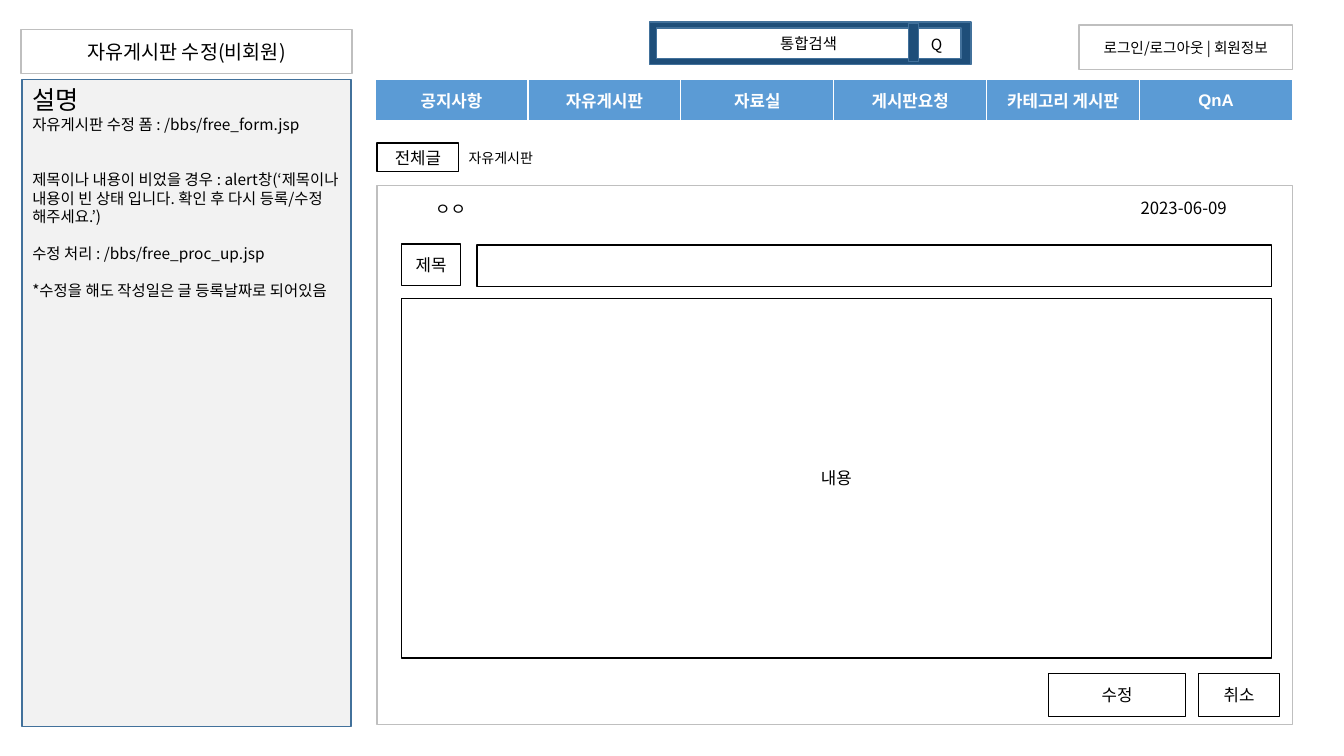
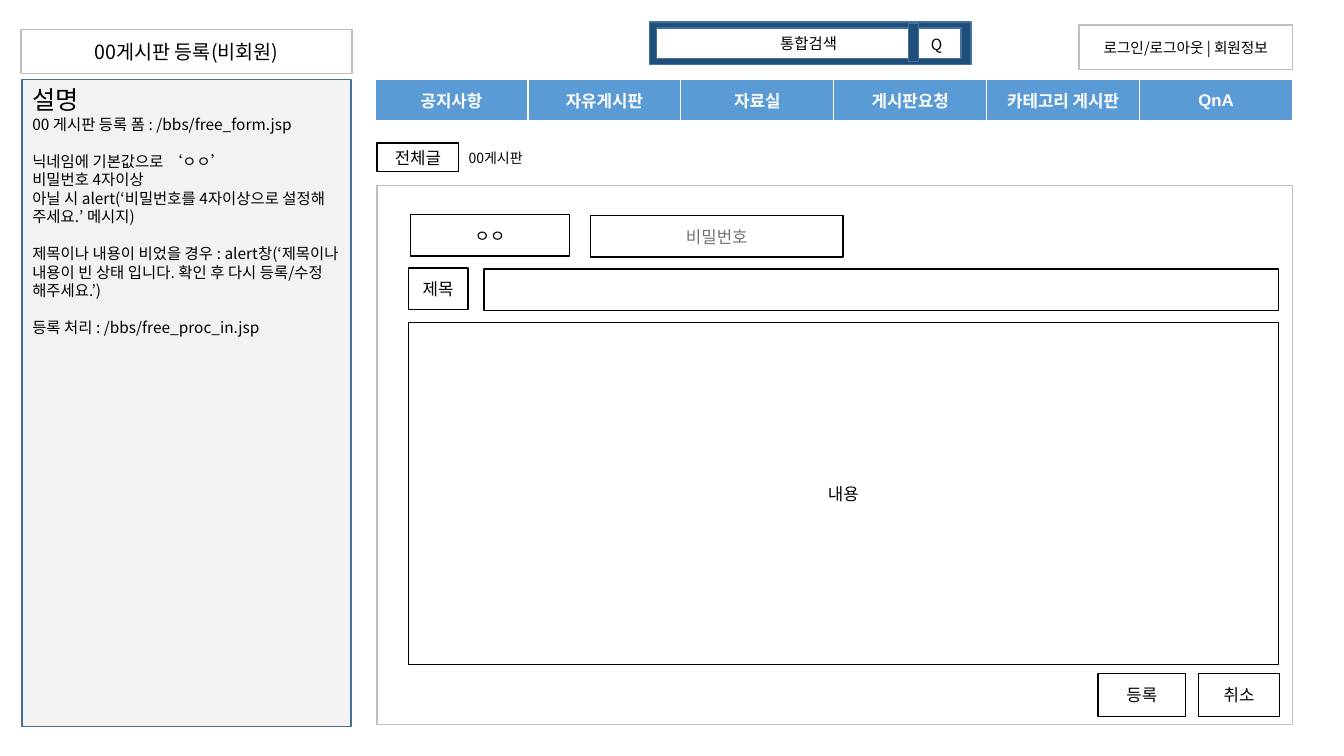
from dataclasses import dataclass

from pptx import Presentation
from pptx.dml.color import RGBColor
from pptx.enum.shapes import MSO_SHAPE
from pptx.enum.text import MSO_ANCHOR, MSO_AUTO_SIZE, PP_ALIGN
from pptx.oxml.ns import qn
from pptx.util import Pt
from lxml import etree

RECTANGLE = MSO_SHAPE.RECTANGLE
TOP, MIDDLE = MSO_ANCHOR.TOP, MSO_ANCHOR.MIDDLE
LEFT, CENTER = PP_ALIGN.LEFT, PP_ALIGN.CENTER
NO_AUTOFIT = MSO_AUTO_SIZE.NONE
EMU_PER_PX = 9144
SLIDE_SIZE = (1333, 750)


@dataclass(frozen=True)
class Theme:
    font: str = "Noto Sans CJK KR"
    menu_font: str = "Arial"
    black: str = "000000"
    white: str = "FFFFFF"
    hint: str = "767171"
    frame: str = "BFBFBF"
    panel: str = "F2F2F2"
    edge: str = "42719B"
    navy: str = "1E4E79"
    menu: str = "5B9BD5"
    title_size: float = 14
    heading_size: float = 18
    body_size: float = 11
    label_size: float = 12
    account_size: float = 10.5
    small_size: float = 10
    line_gap: float = 13.2


THEME = Theme()

MENU = ["공지사항", "자유게시판", "자료실", "게시판요청", "카테고리 게시판", "QnA"]
MENU_BOX = (372, 79, 910, 41)
TITLE_BOX = (21, 29, 328, 44)
NOTES_BOX = (22, 79, 326, 642)
PANEL_BOX = (374, 184, 908, 535)
NOTES_HEADING = "설명"
EMPTY_WARNING = (
    "제목이나 내용이 비었을 경우 : alert창"
    "(‘제목이나 내용이 빈 상태 입니다. 확인 후 다시 등록/수정 해주세요.’)"
)

SCREENS = [
    {
        "title": "자유게시판 수정(비회원)",
        "board": "자유게시판",
        "notes": [
            (0, "자유게시판 수정 폼 : /bbs/free_form.jsp"),
            (2, EMPTY_WARNING),
            (1, "수정 처리 : /bbs/free_proc_up.jsp"),
            (1, "*수정을 해도 작성일은 글 등록날짜로 되어있음"),
        ],
        "fields": [
            ("ㅇㅇ", (382, 188, 130, 38), {"line": None}),
            ("2023-06-09", (1070, 186, 208, 41), {"line": None}),
        ],
        "form_origin": (398, 242),
        "content_height": 357,
        "action": ("수정", 136),
    },
    {
        "title": "00게시판 등록(비회원)",
        "board": "00게시판",
        "notes": [
            (0, "00 게시판 등록 폼 : /bbs/free_form.jsp"),
            (1, "닉네임에 기본값으로 ‘ㅇㅇ’"),
            (0, "비밀번호 4자이상"),
            (0, "아닐 시 alert(‘비밀번호를 4자이상으로 설정해 주세요.’ 메시지)"),
            (1, EMPTY_WARNING),
            (1, "등록 처리 : /bbs/free_proc_in.jsp"),
        ],
        "fields": [
            ("ㅇㅇ", (407, 213, 158, 41), {}),
            ("비밀번호", (586, 214, 250, 41), {"color": THEME.hint}),
        ],
        "form_origin": (405, 266),
        "content_height": 339,
        "action": ("등록", 87),
    },
]


def px(*values):
    return [value * EMU_PER_PX for value in values]


def rgb(color):
    return RGBColor.from_string(color)


def apply(target, values):
    for name, value in values.items():
        setattr(target, name, value)


def write(paragraph, text, size=THEME.label_size, color=THEME.black,
          font=THEME.font, bold=False, align=CENTER):
    run = paragraph.add_run()
    run.text = text
    apply(run.font, {"name": font, "size": Pt(size), "bold": bold})
    run.font.color.rgb = rgb(color)
    east_asian = etree.SubElement(run.font._element, qn("a:ea"))
    east_asian.set("typeface", THEME.font)
    paragraph.alignment = align


def paint(shape, fill, line):
    shape.fill.solid()
    shape.fill.fore_color.rgb = rgb(fill)
    if line is None:
        shape.line.fill.background()
    else:
        shape.line.color.rgb = rgb(line)
        shape.line.width = Pt(1)


def place(shape, box):
    apply(shape, dict(zip(("left", "top", "width", "height"), px(*box))))


def add_box(shapes, box, text="", fill=THEME.white, line=THEME.black,
            anchor=MIDDLE, **text_format):
    shape = shapes.add_shape(RECTANGLE, *px(*box))
    shape.shadow.inherit = False
    paint(shape, fill, line)
    if text:
        apply(shape.text_frame, {"word_wrap": True, "vertical_anchor": anchor})
        write(shape.text_frame.paragraphs[0], text, **text_format)


def add_text(shapes, box, text, anchor=TOP, **text_format):
    frame = shapes.add_textbox(*px(*box)).text_frame
    apply(frame, {"word_wrap": True, "vertical_anchor": anchor})
    write(frame.paragraphs[0], text, **text_format)


def add_title(slide, text):
    title = slide.shapes.title
    place(title, TITLE_BOX)
    paint(title, THEME.white, THEME.frame)
    apply(title.text_frame, {"vertical_anchor": MIDDLE, "auto_size": NO_AUTOFIT})
    write(title.text_frame.paragraphs[0], text, THEME.title_size)


def add_notes(slide, notes):
    body = slide.placeholders[1]
    place(body, NOTES_BOX)
    paint(body, THEME.panel, THEME.edge)
    frame = body.text_frame
    apply(frame, {"vertical_anchor": TOP, "auto_size": NO_AUTOFIT})
    lines = [(0, NOTES_HEADING, THEME.heading_size)]
    lines += [(gap, text, THEME.body_size) for gap, text in notes]
    for index, (gap, text, size) in enumerate(lines):
        paragraph = frame.add_paragraph() if index else frame.paragraphs[0]
        write(paragraph, text, size, align=LEFT)
        apply(paragraph, {"space_before": Pt(gap * THEME.line_gap), "space_after": Pt(0)})
        properties = paragraph._p.get_or_add_pPr()
        for name in ("marL", "indent"):
            properties.set(name, "0")
        etree.SubElement(properties, qn("a:buNone"))


def add_search(slide):
    shapes = slide.shapes.add_group_shape().shapes
    add_box(shapes, (644, 22, 319, 42), fill=THEME.navy, line=THEME.edge)
    add_box(shapes, (651, 28, 302, 30), "통합검색", line=THEME.edge, size=THEME.body_size)
    add_box(shapes, (901, 23, 10, 38), fill=THEME.navy, line=THEME.edge)
    add_text(shapes, (907, 24, 44, 40), "Q", MIDDLE, size=THEME.body_size)


def add_menu(slide):
    table = slide.shapes.add_table(1, len(MENU), *px(*MENU_BOX)).table
    for cell, text in zip(table.iter_cells(), MENU):
        cell.fill.solid()
        cell.fill.fore_color.rgb = rgb(THEME.menu)
        cell.vertical_anchor = MIDDLE
        write(cell.text_frame.paragraphs[0], text, color=THEME.white,
              font=THEME.menu_font, bold=True)


def add_form(slide, screen):
    shapes = slide.shapes
    left, top = screen["form_origin"]
    action, action_width = screen["action"]
    add_box(shapes, PANEL_BOX, line=THEME.frame)
    for text, box, options in screen["fields"]:
        add_box(shapes, box, text, **options)
    add_box(shapes, (left, top, 59, 41), "제목")
    add_box(shapes, (left + 75, top + 1, 788, 41))
    add_box(shapes, (left, top + 54, 863, screen["content_height"]), "내용")
    add_box(shapes, (1176 - action_width, 668, action_width, 43), action)
    add_box(shapes, (1189, 668, 80, 43), "취소")


def add_screen(presentation, screen):
    slide = presentation.slides.add_slide(presentation.slide_layouts[1])
    add_title(slide, screen["title"])
    add_notes(slide, screen["notes"])
    add_box(slide.shapes, (1070, 25, 212, 44), "로그인/로그아웃 | 회원정보",
            line=THEME.frame, size=THEME.account_size)
    add_search(slide)
    add_menu(slide)
    add_box(slide.shapes, (374, 142, 81, 28), "전체글", anchor=TOP)
    add_text(slide.shapes, (455, 143, 114, 27), screen["board"],
             size=THEME.small_size, align=LEFT)
    add_form(slide, screen)


def main():
    """Build the board wireframe slides."""
    presentation = Presentation()
    apply(presentation, dict(zip(("slide_width", "slide_height"), px(*SLIDE_SIZE))))
    for screen in SCREENS:
        add_screen(presentation, screen)
    presentation.save("out.pptx")


if __name__ == "__main__":
    main()
